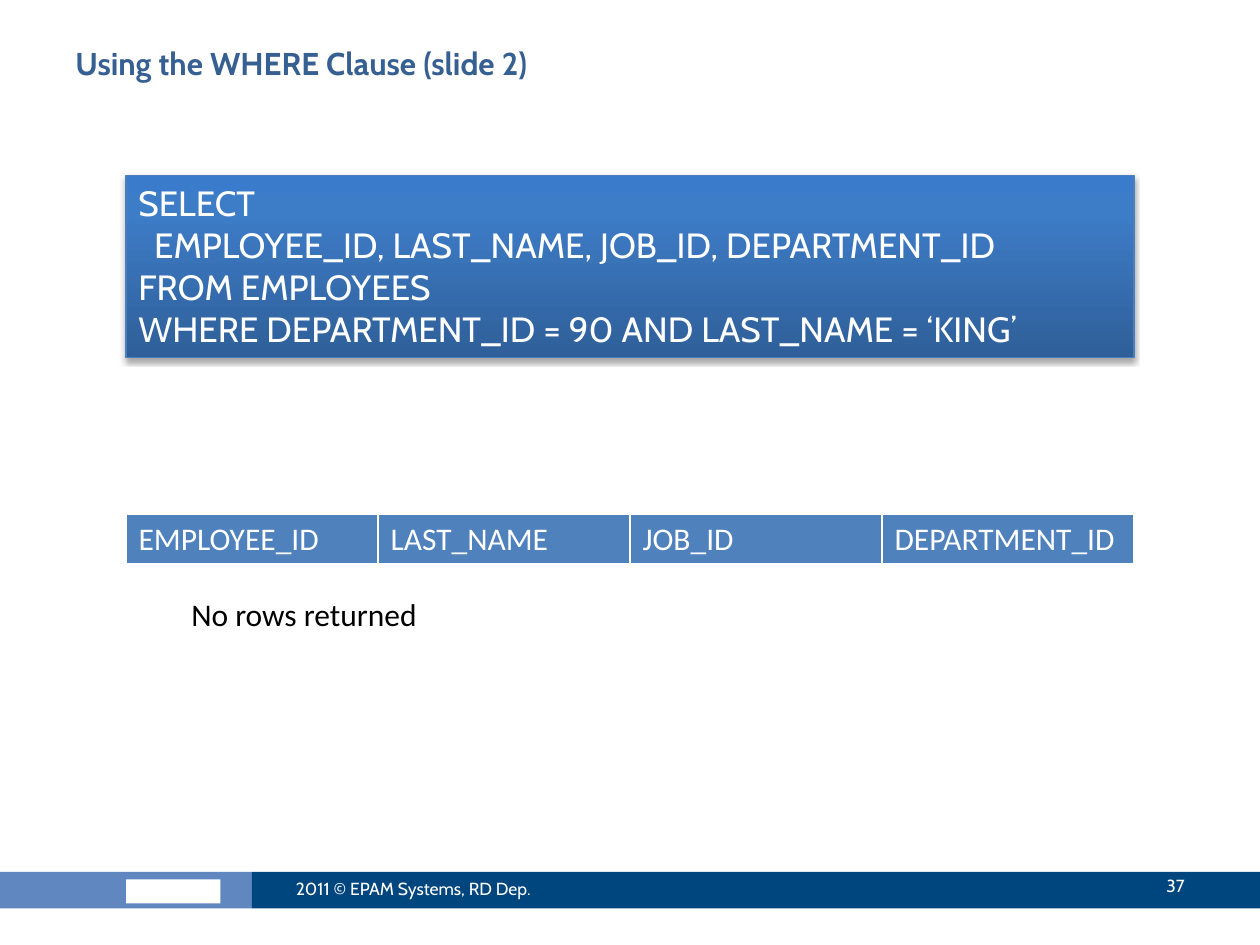
from copy import deepcopy

from lxml.etree import SubElement
from pptx import Presentation
from pptx.dml.color import RGBColor
from pptx.enum.shapes import MSO_SHAPE
from pptx.enum.text import MSO_ANCHOR, PP_ALIGN
from pptx.oxml import parse_xml
from pptx.oxml.ns import nsdecls, qn
from pptx.util import Inches, Pt

TITLE = "Using the WHERE Clause (slide 2)"
QUERY = [
    "SELECT",
    "  EMPLOYEE_ID, LAST_NAME, JOB_ID, DEPARTMENT_ID",
    "FROM EMPLOYEES",
    "WHERE DEPARTMENT_ID = 90 AND LAST_NAME = ‘KING’",
]
HEADS = ["EMPLOYEE_ID", "LAST_NAME", "JOB_ID", "DEPARTMENT_ID"]
RESULT = "No rows returned"
OWNER, PAGE = "2011 © EPAM Systems, RD Dep.", "37"

STOPS = [(0, "2F5F99"), (0.8, "3D7CC7"), (1, "3A7CCB")]
EDGES = [("L", 1), ("R", 1), ("T", 1), ("B", 3)]
WHITE = "FFFFFF"
LEFT, WIDTH = 1, 8


def color(code):
    return RGBColor.from_string(code)


def write(frame, lines, size, ink, face="Cabin", bold=False, align=PP_ALIGN.LEFT):
    frame.text = "\n".join(lines)
    for para in frame.paragraphs:
        para.alignment = align
        font = para.font
        font.name, font.size, font.bold = face, Pt(size), bold
        font.color.rgb = color(ink)


def add_text(slide, box, line, size, ink, anchor=MSO_ANCHOR.TOP, wrap=True, **style):
    frame = slide.shapes.add_textbox(*map(Inches, box)).text_frame
    frame.word_wrap = wrap
    frame.vertical_anchor = anchor
    write(frame, [line], size, ink, **style)


def add_block(slide, box, fill=None):
    block = slide.shapes.add_shape(MSO_SHAPE.RECTANGLE, *map(Inches, box))
    block.shadow.inherit = False
    block.line.fill.background()
    if fill:
        block.fill.solid()
        block.fill.fore_color.rgb = color(fill)
    return block


def add_query(slide):
    block = add_block(slide, (LEFT, 1.39, WIDTH, 1.45))
    block.line.color.rgb = color("4B7EBC")
    block.line.width = Pt(0.75)
    fill = block.fill
    fill.gradient()
    fill.gradient_angle = 90
    props = block._element.spPr
    stops = props.find(qn("a:gradFill")).find(qn("a:gsLst"))
    stops.append(deepcopy(stops[-1]))
    for stop, (place, code) in zip(fill.gradient_stops, STOPS):
        stop.position = place
        stop.color.rgb = color(code)
    props.find(qn("a:effectLst")).append(parse_xml(
        f'<a:outerShdw {nsdecls("a")} blurRad="{Pt(3.1)}" dist="{Pt(1.8)}" '
        'dir="5400000" rotWithShape="0"><a:srgbClr val="000000">'
        '<a:alpha val="35000"/></a:srgbClr></a:outerShdw>'))
    frame = block.text_frame
    frame.word_wrap = True
    frame.vertical_anchor = MSO_ANCHOR.TOP
    write(frame, QUERY, 20, WHITE)


def add_heads(slide):
    box = map(Inches, (LEFT, 4.08, WIDTH, 0.41))
    table = slide.shapes.add_table(1, len(HEADS), *box).table
    for cell, head in zip(table.rows[0].cells, HEADS):
        write(cell.text_frame, [head], 18, WHITE, face="Calibri")
        props = cell._tc.get_or_add_tcPr()
        for side, width in EDGES:
            edge = SubElement(props, qn(f"a:ln{side}"), w=str(Pt(width)))
            paint = SubElement(edge, qn("a:solidFill"))
            SubElement(paint, qn("a:srgbClr"), val=WHITE)
        cell.fill.solid()
        cell.fill.fore_color.rgb = color("4F81BD")


def main():
    deck = Presentation()
    deck.slide_width, deck.slide_height = Inches(10), Inches(7.5)
    slide = deck.slides.add_slide(deck.slide_layouts[6])

    add_block(slide, (0, 6.92, 2, 0.29), "6087BF")
    add_block(slide, (LEFT, 6.98, 0.75, 0.19), WHITE)
    add_block(slide, (2, 6.92, 8, 0.29), "00467E")

    add_text(slide, (0.5, 0.3, 9, 0.78), TITLE, 18, "376092", bold=True)
    add_heads(slide)
    middle = MSO_ANCHOR.MIDDLE
    add_text(slide, (2.25, 6.85, 2.67, 0.4), OWNER, 10, WHITE, middle)
    add_text(slide, (8.42, 6.83, 1.08, 0.4), PAGE, 10, WHITE, middle,
             align=PP_ALIGN.RIGHT)
    add_text(slide, (1.42, 4.67, 2.14, 0.4), RESULT, 18, "000000",
             wrap=False, face="Calibri")
    add_query(slide)

    deck.save("out.pptx")


if __name__ == "__main__":
    main()
